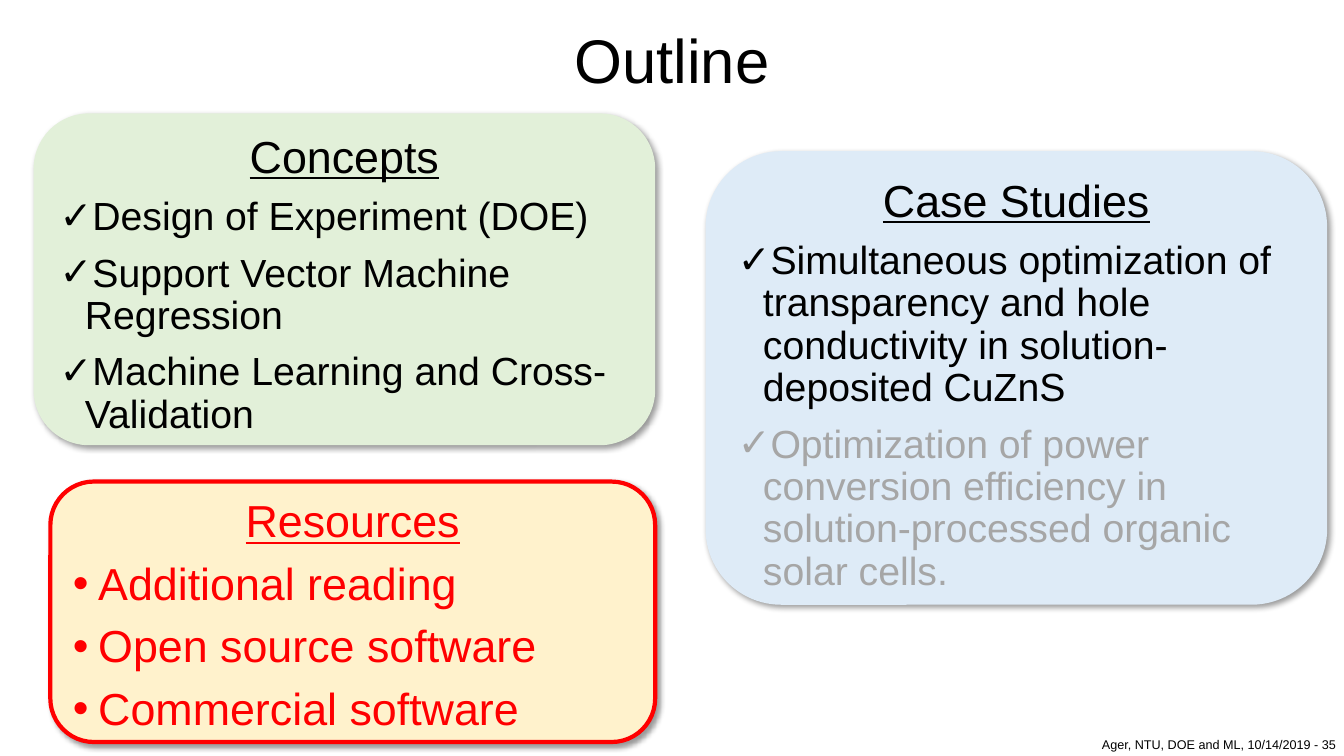
from dataclasses import dataclass

from lxml.etree import SubElement
from pptx import Presentation
from pptx.dml.color import RGBColor
from pptx.enum.shapes import MSO_SHAPE
from pptx.enum.text import MSO_ANCHOR, MSO_AUTO_SIZE, PP_ALIGN
from pptx.oxml import parse_xml
from pptx.oxml.ns import nsdecls, qn
from pptx.util import Pt


@dataclass(frozen=True)
class Theme:
    font: str = "Arial"
    black: str = "000000"
    red: str = "FF0000"
    muted: str = "A6A6A6"
    blue: str = "DEEBF7"
    green: str = "E2F0D9"
    cream: str = "FFF2CC"
    title_size: int = 44
    heading_size: int = 32
    item_size: int = 28
    footer_size: int = 9
    border: int = 3
    indent: int = 18
    gap: int = 10
    line_spacing: float = 0.9


class OutlinePage:
    def __init__(self, deck, theme):
        self.theme = theme
        self.page = deck.slides.add_slide(deck.slide_layouts[1])

    def place(self, shape, bounds):
        for name, value in zip(("left", "top", "width", "height"), bounds):
            setattr(shape, name, Pt(value))

    def add_span(self, para, text, size, color, **formats):
        span = para.add_run()
        span.text = text
        formats = {"name": self.theme.font, "size": Pt(size), **formats}
        for name, value in formats.items():
            setattr(span.font, name, value)
        span.font.color.rgb = RGBColor.from_string(color)

    def bullet(self, para, mark):
        properties = para._p.get_or_add_pPr()
        indent = Pt(self.theme.indent) if mark else 0
        properties.set("marL", str(indent))
        properties.set("indent", str(-indent))
        if mark:
            SubElement(properties, qn("a:buFont"), typeface=self.theme.font)
            SubElement(properties, qn("a:buChar"), char=mark)
        else:
            SubElement(properties, qn("a:buNone"))

    def title(self, text, bounds):
        box = self.page.shapes.title
        self.place(box, bounds)
        box.text_frame.vertical_anchor = MSO_ANCHOR.MIDDLE
        box.text_frame.auto_size = MSO_AUTO_SIZE.NONE
        para = box.text_frame.paragraphs[0]
        para.alignment = PP_ALIGN.CENTER
        para.line_spacing = self.theme.line_spacing
        self.add_span(para, text, self.theme.title_size, self.theme.black)

    def footer(self, text, bounds):
        box = self.page.shapes.add_textbox(*map(Pt, bounds))
        box.text_frame.word_wrap = False
        para = box.text_frame.paragraphs[0]
        self.add_span(para, text, self.theme.footer_size, self.theme.black)

    def body_card(self, bounds):
        card = self.page.placeholders[1]
        self.place(card, bounds)
        card._element.spPr.insert(1, parse_xml(
            f'<a:prstGeom {nsdecls("a")} prst="roundRect"><a:avLst/></a:prstGeom>'))
        return card

    def shape_card(self, bounds):
        return self.page.shapes.add_shape(
            MSO_SHAPE.ROUNDED_RECTANGLE, *map(Pt, bounds))

    def decorate(self, card, fill, border):
        card.fill.solid()
        card.fill.fore_color.rgb = RGBColor.from_string(fill)
        if border:
            card.line.color.rgb = RGBColor.from_string(border)
            card.line.width = Pt(self.theme.border)
        else:
            card.line.fill.background()
        card.shadow.inherit = False
        effects = card._element.spPr.find(qn("a:effectLst"))
        effects.append(parse_xml(
            f'<a:outerShdw {nsdecls("a")} blurRad="{Pt(4)}" dist="{Pt(3)}" '
            'dir="2700000" algn="tl" rotWithShape="0"><a:srgbClr val="000000">'
            '<a:alpha val="40000"/></a:srgbClr></a:outerShdw>'))

    def fill_card(self, card, heading, items, mark, size, color):
        frame = card.text_frame
        settings = {"word_wrap": True, "auto_size": MSO_AUTO_SIZE.NONE,
                    "vertical_anchor": MSO_ANCHOR.TOP}
        for name, value in settings.items():
            setattr(frame, name, value)
        para = frame.paragraphs[0]
        self.bullet(para, None)
        para.alignment = PP_ALIGN.CENTER
        para.line_spacing = self.theme.line_spacing
        para.space_before = Pt(0)
        self.add_span(para, heading, self.theme.heading_size, color, underline=True)
        for text, item_color in items:
            para = frame.add_paragraph()
            self.bullet(para, mark)
            para.alignment = PP_ALIGN.LEFT
            para.line_spacing = self.theme.line_spacing
            para.space_before = Pt(self.theme.gap)
            self.add_span(para, text, size, item_color)


def main():
    deck = Presentation()
    deck.slide_width, deck.slide_height = Pt(960), Pt(540)
    theme = Theme()
    outline = OutlinePage(deck, theme)
    outline.title("Outline", (66, 12, 828, 67))

    case_studies = outline.body_card((504, 108, 444, 324))
    outline.decorate(case_studies, theme.blue, None)
    outline.fill_card(case_studies, "Case Studies", [
        ("Simultaneous optimization of transparency and hole conductivity "
         "in solution-deposited CuZnS", theme.black),
        ("Optimization of power conversion efficiency in solution-processed "
         "organic solar cells.", theme.muted),
    ], "✓", theme.item_size, theme.black)

    concepts = outline.shape_card((24, 81, 444, 237))
    outline.decorate(concepts, theme.green, None)
    outline.fill_card(concepts, "Concepts", [
        ("Design of Experiment (DOE)", theme.black),
        ("Support Vector Machine Regression", theme.black),
        ("Machine Learning and Cross-Validation", theme.black),
    ], "✓", theme.item_size, theme.black)

    resources = outline.shape_card((36, 344, 432, 186))
    outline.decorate(resources, theme.cream, theme.red)
    outline.fill_card(resources, "Resources", [
        ("Additional reading", theme.red),
        ("Open source software", theme.red),
        ("Commercial software", theme.red),
    ], "•", theme.heading_size, theme.red)

    outline.footer("Ager, NTU, DOE and ML, 10/14/2019 - 35", (780, 523, 185, 18))
    deck.save("out.pptx")


if __name__ == "__main__":
    main()
